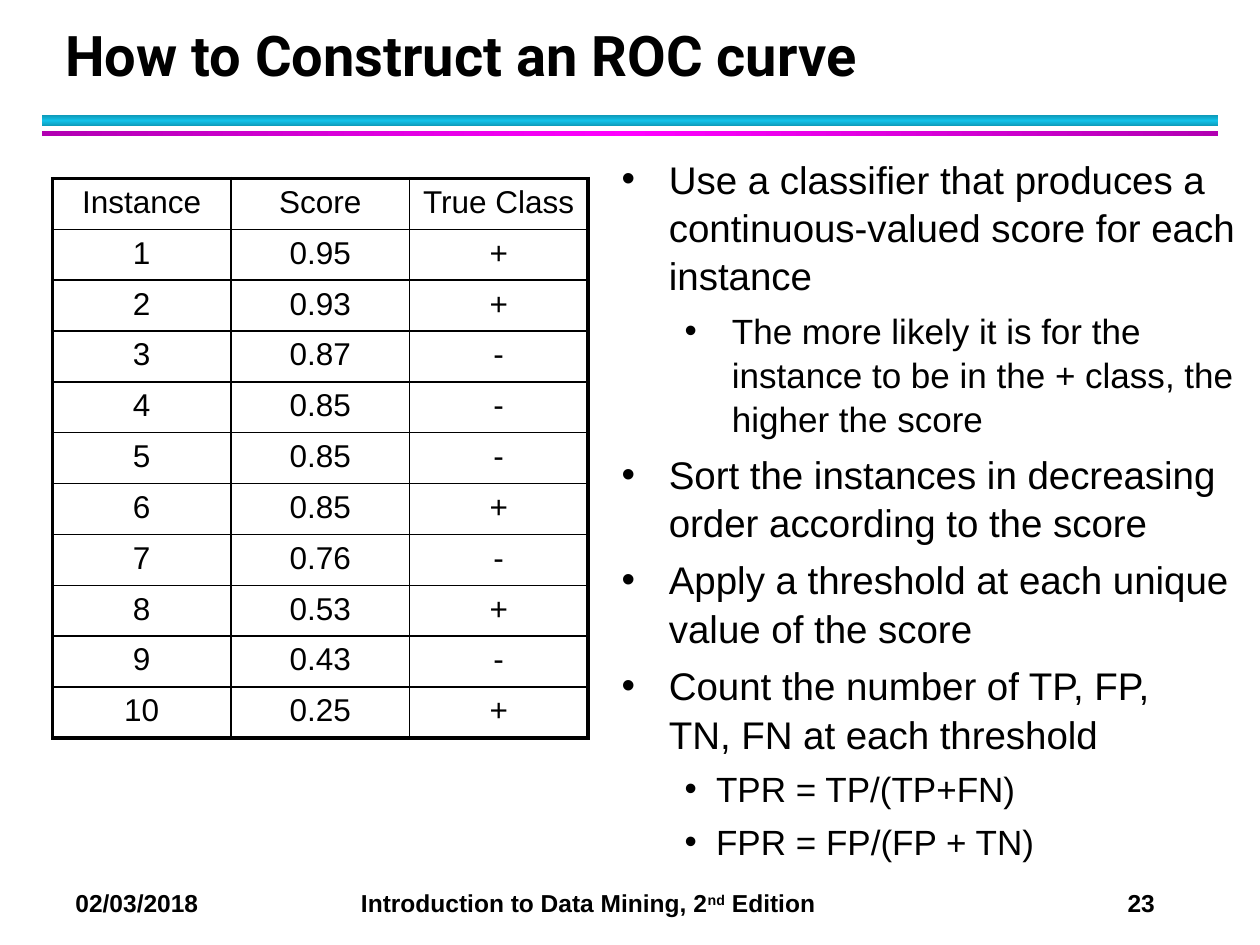
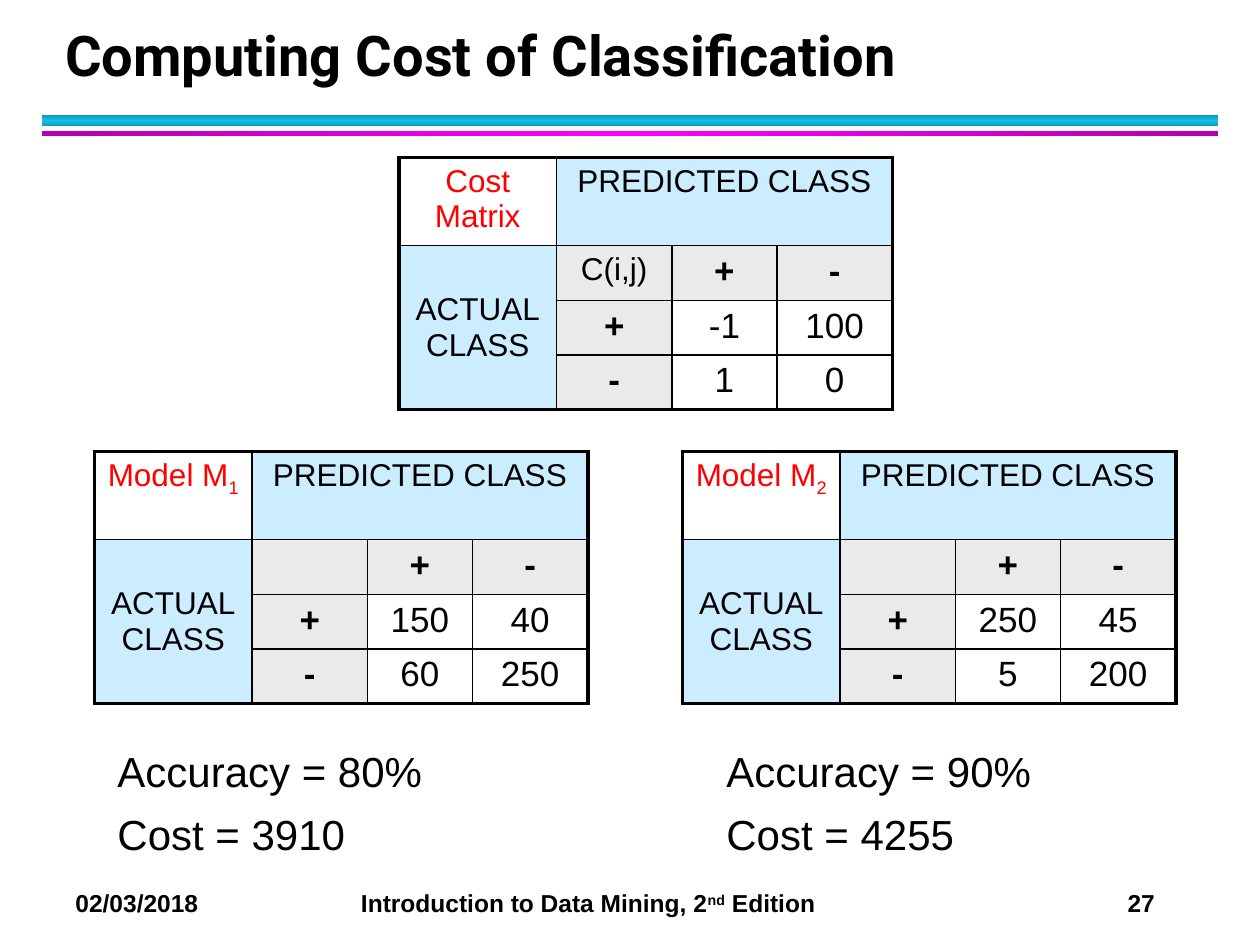
from copy import deepcopy

from lxml.etree import SubElement
from pptx import Presentation
from pptx.dml.color import RGBColor
from pptx.enum.shapes import MSO_SHAPE
from pptx.enum.text import MSO_ANCHOR, MSO_AUTO_SIZE, PP_ALIGN
from pptx.oxml.ns import qn
from pptx.util import Pt

SCALE = 7620  # EMU per px, 120 px to the inch
RECT = MSO_SHAPE.RECTANGLE
LEFT, CENTER = PP_ALIGN.LEFT, PP_ALIGN.CENTER
TOP, MIDDLE, BOTTOM = MSO_ANCHOR.TOP, MSO_ANCHOR.MIDDLE, MSO_ANCHOR.BOTTOM
NO_FIT = MSO_AUTO_SIZE.NONE

BLACK = RGBColor(0, 0, 0)
WHITE = RGBColor(0xFF, 0xFF, 0xFF)
RED = RGBColor(0xFF, 0, 0)
SKY = RGBColor(0xCC, 0xEC, 0xFF)
GREY = RGBColor(0xEA, 0xEA, 0xEA)
TEAL = RGBColor(0x0E, 0x9B, 0xBA)
CYAN = RGBColor(0x12, 0xC2, 0xE9)
PLUM = RGBColor(0xB2, 0, 0xB2)
PINK = RGBColor(0xFF, 0, 0xFF)

THICK, THIN = 2.25, 1
SUPER, SUB = 30000, -25000

SCORES = [
    ("Instance", "Score", "True Class"),
    ("1", "0.95", "+"),
    ("2", "0.93", "+"),
    ("3", "0.87", "-"),
    ("4", "0.85", "-"),
    ("5", "0.85", "-"),
    ("6", "0.85", "+"),
    ("7", "0.76", "-"),
    ("8", "0.53", "+"),
    ("9", "0.43", "-"),
    ("10", "0.25", "+"),
]
# text, level, text offset, hanging indent
STEPS = [
    ("Use a classifier that produces a continuous-valued score for each instance", 0, 45, 45),
    ("The more likely it is for the instance to be in the + class, the higher the score", 1, 105, 45),
    ("Sort the instances in decreasing order according to the score", 0, 45, 45),
    ("Apply a threshold at each unique value of the score", 0, 45, 45),
    ("Count the number of TP, FP, \vTN, FN at each threshold", 0, 45, 45),
    ("TPR = TP/(TP+FN)", 1, 90, 30),
    ("FPR = FP/(FP + TN)", 1, 90, 30),
]


def px(n):
    return int(n * SCALE)


def apply(obj, **fmt):
    for key, value in fmt.items():
        setattr(obj, key, value)


def write(par, *parts, base=0, color=BLACK, **fmt):
    """Fill a paragraph; the second part, if any, is raised or lowered by base."""
    par.text = parts[0]
    for part in parts[1:]:
        par.add_run().text = part
    for run in par.runs:
        apply(run.font, **{"name": "Arial", "size": Pt(18), "bold": False, **fmt})
        run.font.color.rgb = color
    if len(parts) > 1:
        par.runs[1]._r.get_or_add_rPr().set("baseline", str(base))


def edge(cell, side, width):
    line = SubElement(cell._tc.get_or_add_tcPr(), qn("a:ln" + side), w=str(Pt(width)))
    fill = SubElement(line, qn("a:solidFill"))
    SubElement(fill, qn("a:srgbClr"), val=str(BLACK))


class Deck:
    def __init__(self):
        self.prs = Presentation()
        self.prs.slide_width, self.prs.slide_height = px(1200), px(900)
        self.slide = None

    def start(self, title, number, layout):
        self.slide = self.prs.slides.add_slide(self.prs.slide_layouts[layout])
        self.band(110, 10, TEAL, CYAN, 90)
        self.band(125, 5, PLUM, PINK, 0)
        self.foot(number)
        self.title(title)

    def place(self, shape, left, top, width, height):
        apply(shape, left=px(left), top=px(top), width=px(width), height=px(height))
        apply(shape.text_frame, word_wrap=True, auto_size=NO_FIT)
        return shape.text_frame

    def band(self, top, height, rim, core, angle):
        bar = self.slide.shapes.add_shape(RECT, px(40), px(top), px(1120), px(height))
        bar.shadow.inherit = False
        bar.line.fill.background()
        bar.fill.gradient()
        bar.fill.gradient_angle = angle
        stops = bar._element.spPr.find(".//" + qn("a:gsLst"))
        stops.append(deepcopy(stops[0]))
        for stop, spot, color in zip(bar.fill.gradient_stops, (0, 0.5, 1), (rim, core, rim)):
            stop.position = spot
            stop.color.rgb = color

    def foot(self, number):
        par = self.box(60, 840, 1120, 41).paragraphs[0]
        tabs = SubElement(par._p.get_or_add_pPr(), qn("a:tabLst"))
        for stop in (272, 1002):
            SubElement(tabs, qn("a:tab"), pos=str(px(stop)), algn="l")
        write(par, "02/03/2018\tIntroduction to Data Mining, 2", "nd",
              f" Edition\t{number}", base=SUPER, size=Pt(14), bold=True)

    def title(self, text):
        frame = self.place(self.slide.shapes.title, 50, 20, 1088, 70)
        frame.vertical_anchor = BOTTOM
        par = frame.paragraphs[0]
        apply(par, alignment=LEFT, line_spacing=Pt(36))
        write(par, text, name="Roboto", size=Pt(32), bold=True)

    def box(self, *area):
        return self.place(self.slide.shapes.add_textbox(0, 0, 0, 0), *area)

    def lines(self, texts, *area):
        frame = self.box(*area)
        for i, text in enumerate(texts):
            par = frame.add_paragraph() if i else frame.paragraphs[0]
            par.space_before = Pt(7 if i else 0)
            write(par, text, size=Pt(24))

    def bullets(self, items, *area):
        frame = self.place(self.slide.placeholders[1], *area)
        frame.vertical_anchor = TOP
        for i, (text, level, left, hang) in enumerate(items):
            par = frame.add_paragraph() if i else frame.paragraphs[0]
            apply(par, level=level, line_spacing=1.05, space_before=Pt(5 if i else 0))
            props = par._p.get_or_add_pPr()
            props.set("marL", str(px(left)))
            props.set("indent", str(px(-hang)))
            SubElement(props, qn("a:buChar"), char="•")
            write(par, text, size=Pt(20 if level else 22))

    def grid(self, left, top, cols, rows):
        shape = self.slide.shapes.add_table(len(rows), len(cols), px(left), px(top),
                                            px(sum(cols)), px(sum(rows)))
        table = shape.table
        apply(table, first_row=False, horz_banding=False)
        for col, width in zip(table.columns, cols):
            col.width = px(width)
        for row, height in zip(table.rows, rows):
            row.height = px(height)
        return table

    def finish(self, table):
        """Draw a thick frame with thin inner lines, and centre all text."""
        rows, cols = len(table.rows), len(table.columns)
        for r in range(rows):
            for c in range(cols):
                cell = table.cell(r, c)
                outer = {"L": c == 0, "R": c + cell.span_width == cols,
                         "T": r == 0, "B": r + cell.span_height == rows}
                for side, thick in outer.items():
                    edge(cell, side, THICK if thick else THIN)
                cell.fill.solid()
                cell.fill.fore_color.rgb = WHITE
                cell.text_frame.paragraphs[0].alignment = CENTER

    def scores(self, data, left, top, width, height):
        count = len(data[0])
        table = self.grid(left, top, [width / count] * count, [height / len(data)] * len(data))
        for r, row in enumerate(data):
            for c, text in enumerate(row):
                write(table.cell(r, c).text_frame.paragraphs[0], text)
        self.finish(table)

    def matrix(self, left, top, name, corner, counts):
        table = self.grid(left, top, [150, 110, 100, 110], [84, 52, 52, 52])
        head, side = table.cell(0, 1), table.cell(1, 0)
        head.merge(table.cell(0, 3))
        side.merge(table.cell(3, 0))
        self.finish(table)
        side.vertical_anchor = MIDDLE
        write(table.cell(0, 0).text_frame.paragraphs[0], *name, base=SUB, color=RED)
        for cell, text in ((head, "PREDICTED CLASS"), (side, "ACTUAL\vCLASS")):
            write(cell.text_frame.paragraphs[0], text)
            cell.fill.fore_color.rgb = SKY
        body = [(corner, "+", "-"), ("+", *counts[0]), ("-", *counts[1])]
        for r, row in enumerate(body):
            for c, text in enumerate(row):
                cell = table.cell(r + 1, c + 1)
                label = r == 0 or c == 0
                if label:
                    cell.fill.fore_color.rgb = GREY
                if text:
                    big = r + c > 0
                    write(cell.text_frame.paragraphs[0], text,
                          size=Pt(20 if big else 18), bold=label and big)


def main():
    deck = Deck()

    deck.start("How to Construct an ROC curve", 23, layout=1)
    deck.scores(SCORES, 50, 170, 510, 533)
    deck.bullets(STEPS, 580, 140, 610, 665)

    deck.start("Computing Cost of Classification", 27, layout=5)
    deck.matrix(380, 150, ["Cost Matrix"], "C(i,j)", [("-1", "100"), ("1", "0")])
    deck.matrix(90, 430, ["Model M", "1"], "", [("150", "40"), ("60", "250")])
    deck.matrix(650, 430, ["Model M", "2"], "", [("250", "45"), ("5", "200")])
    deck.lines(["Accuracy = 80%", "Cost = 3910"], 100, 704, 400, 130)
    deck.lines(["Accuracy = 90%", "Cost = 4255"], 680, 704, 400, 130)

    deck.prs.save("out.pptx")


if __name__ == "__main__":
    main()
